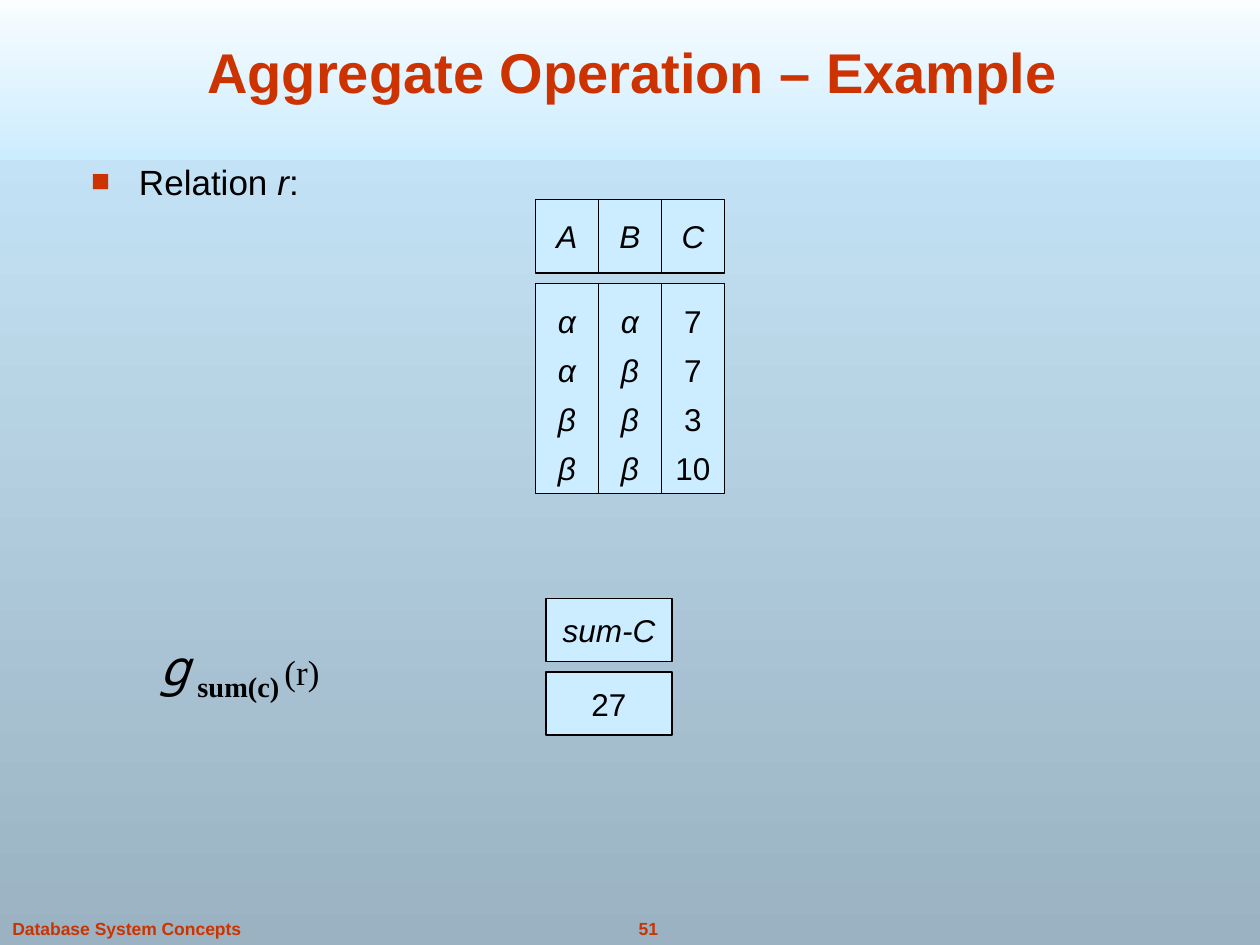
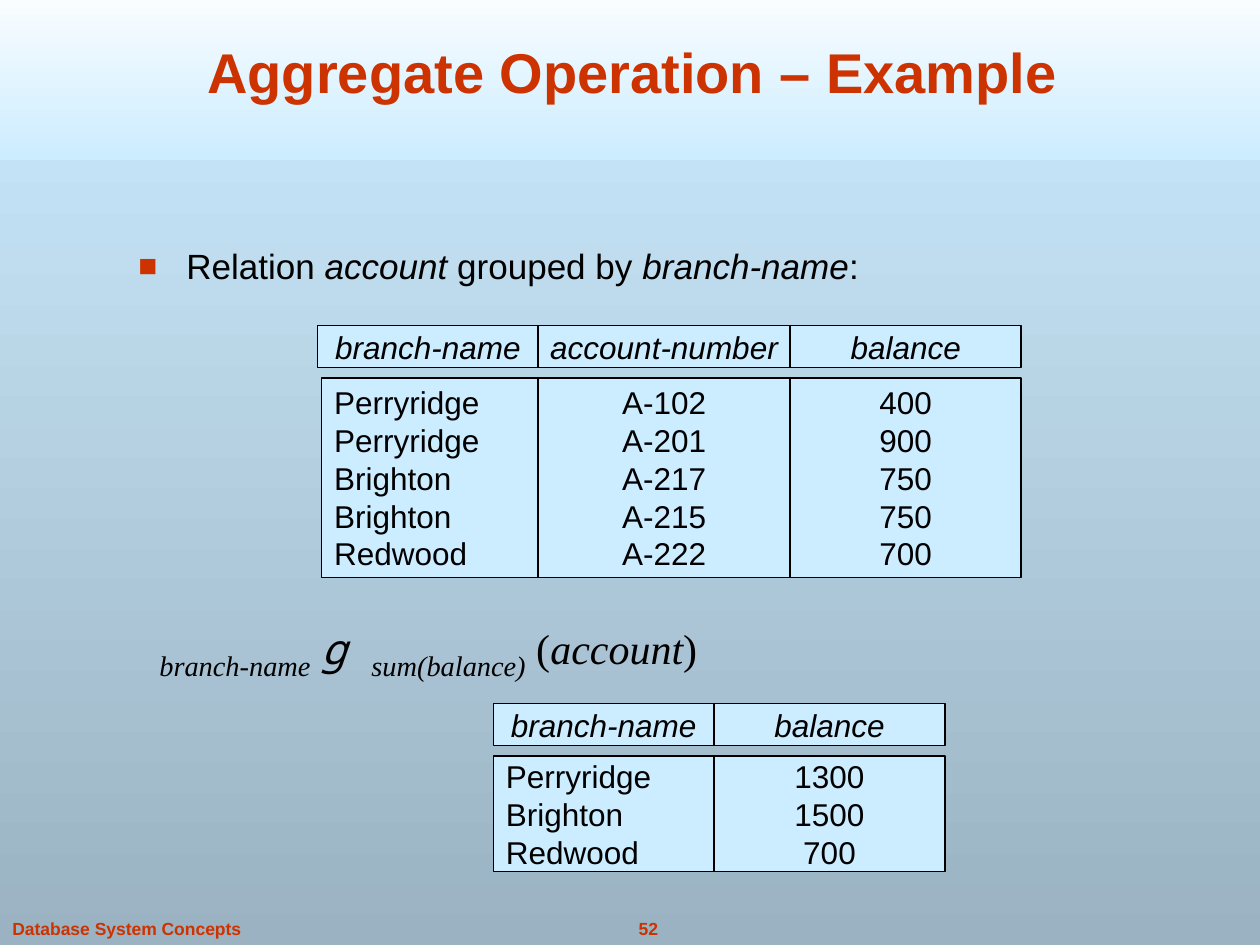
from lxml import etree
from pptx import Presentation, util as u
from pptx.dml.color import RGBColor
from pptx.enum import shapes, text
from pptx.oxml.ns import qn

CELL = u.Inches(1) // 12  # the slide is 120 columns by 90 rows
COLUMNS, ROWS = 120, 90

RED, BLACK, WHITE = "CC3300", "000000", "FFFFFF"
PALE, STEEL = "CCECFF", "9AB2C1"
SANS, SERIF, SCRIPT = "Arial", "Times New Roman", "Noto Sans Mono"
LEFT, CENTER = text.PP_ALIGN.LEFT, text.PP_ALIGN.CENTER
TOP, MIDDLE, BOTTOM = (text.MSO_ANCHOR.TOP, text.MSO_ANCHOR.MIDDLE,
                       text.MSO_ANCHOR.BOTTOM)

TITLE_STYLE = dict(size=32, color_hex=RED, bold=True)
FOOTER_STYLE = dict(size=10, color_hex=RED, bold=True)
BODY = dict(size=20)
BODY_ITALIC = dict(size=20, italic=True)


def color(value):
    return RGBColor.from_string(value)


def grid(*lengths):
    return [round(length * CELL) for length in lengths]


def fade(fill, start, end):
    """Fill from start at the top to end at the bottom."""
    fill.gradient()
    fill.gradient_angle = 270
    for stop, value in zip(fill.gradient_stops, (start, end)):
        stop.color.rgb = color(value)


def style(span, size=18, font=SANS, color_hex=BLACK, bold=False, italic=False,
          baseline=0):
    span.font.size = u.Pt(size)
    span.font.name = font
    span.font.color.rgb = color(color_hex)
    span.font.bold = bold
    span.font.italic = italic
    if baseline:
        span.font._element.set("baseline", str(baseline * 1000))


def write(shape, lines, align=LEFT, anchor=TOP, wrap=True, spacing=None):
    """Write lines, each a list of (words, style) pairs."""
    frame = shape.text_frame
    frame.word_wrap = wrap
    frame.vertical_anchor = anchor
    for number, line in enumerate(lines):
        para = frame.add_paragraph() if number else frame.paragraphs[0]
        para.alignment = align
        if spacing:
            para.line_spacing = spacing
        for words, look in line:
            span = para.add_run()
            span.text = words
            style(span, **look)


def add_text(page, place, spans, **layout):
    box = page.shapes.add_textbox(*grid(*place))
    write(box, [spans], **layout)
    return box


def add_bullet(page, place, spans):
    box = add_text(page, place, spans)
    props = box.text_frame.paragraphs[0]._p.get_or_add_pPr()
    indent = u.Inches(0.38)
    props.set("marL", str(indent))
    props.set("indent", str(-indent))
    bullet_color = etree.SubElement(props, qn("a:buClr"))
    etree.SubElement(bullet_color, qn("a:srgbClr"), val=RED)
    etree.SubElement(props, qn("a:buSzPct"), val="90000")
    etree.SubElement(props, qn("a:buFont"), typeface=SANS)
    etree.SubElement(props, qn("a:buChar"), char="■")


def add_footer(page, left, width, words, align=LEFT):
    """Place one footer line that grows instead of wrapping."""
    box = add_text(page, (left, ROWS - 3.2, width, 3.2), [(words, FOOTER_STYLE)],
                   align=align, wrap=False)
    box.text_frame.auto_size = text.MSO_AUTO_SIZE.SHAPE_TO_FIT_TEXT


def add_cell(page, place, lines, **layout):
    cell = page.shapes.add_shape(shapes.MSO_SHAPE.RECTANGLE, *grid(*place))
    cell.shadow.inherit = False
    cell.fill.solid()
    cell.fill.fore_color.rgb = color(PALE)
    cell.line.color.rgb = color(BLACK)
    cell.line.width = u.Pt(0.75)
    write(cell, lines, anchor=MIDDLE, wrap=False, **layout)


def add_relation(page, left, top, head_rows, body_rows, columns, spacing=None,
                 body_inset=0):
    """Draw header cells, a one-row gap, and one tall cell per column.

    Each column is (width, header, values, alignment, italic values).
    """
    inset = body_inset
    for width, header, values, align, italic in columns:
        add_cell(page, (left, top, width, head_rows),
                 [[(header, dict(italic=True))]], align=CENTER)
        add_cell(page, (left + inset, top + head_rows + 1, width - inset, body_rows),
                 [[(value, dict(italic=italic))] for value in values],
                 align=align, spacing=spacing)
        left += width
        inset = 0


def add_page(deck, title, number):
    """Add a slide with the shared background, band, title and footer."""
    page = deck.slides.add_slide(deck.slide_layouts[6])
    fade(page.background.fill, PALE, STEEL)
    band = page.shapes.add_shape(shapes.MSO_SHAPE.RECTANGLE,
                                 *grid(0, -2, COLUMNS, 17.25))
    band.shadow.inherit = False
    band.line.fill.background()
    fade(band.fill, WHITE, PALE)
    add_footer(page, 56.5, 10.5, str(number), CENTER)
    add_footer(page, 0, 24.5, "Database System Concepts")
    add_text(page, (7.25, 2.6, 106, 8), [(title, TITLE_STYLE)],
             align=CENTER, anchor=BOTTOM)
    return page


def build_sum_page(deck, title, number):
    page = add_page(deck, title, number)
    add_bullet(page, (7.5, 14.65, 24, 7.5),
               [("Relation ", BODY), ("r", BODY_ITALIC), (":", BODY)])
    add_relation(page, 51, 19, 7, 20, [
        (6, "A", "ααββ", CENTER, True),
        (6, "B", "αβββ", CENTER, True),
        (6, "C", ["7", "7", "3", "10"], CENTER, False),
    ], spacing=1.3)
    gap = dict(size=20, font=SERIF, bold=True)
    add_text(page, (14, 60, 21.25, 7.3), [
        ("g", dict(size=28, font=SCRIPT, italic=True)),
        (" ", gap),
        ("sum(c)", dict(size=28, font=SERIF, bold=True, baseline=-25)),
        (" ", dict(gap, baseline=-25)),
        ("(r)", dict(size=20, font=SERIF)),
    ])
    add_relation(page, 52, 57, 6, 6, [(12, "sum-C", ["27"], CENTER, False)])


def build_grouped_page(deck, title, number):
    page = add_page(deck, title, number)
    add_bullet(page, (12, 22.7, 92, 5.4), [
        ("Relation ", BODY), ("account", BODY_ITALIC), (" grouped by ", BODY),
        ("branch-name", BODY_ITALIC), (":", BODY),
    ])
    subscript = dict(size=28, font=SERIF, italic=True, baseline=-25)
    plain = dict(size=24, font=SERIF)
    add_text(page, (14, 58, 92, 5.4), [
        ("branch-name", subscript),
        (" ", plain),
        ("g ", dict(size=24, font=SCRIPT, italic=True)),
        ("sum(balance)", subscript),
        (" (", plain),
        ("account", dict(plain, italic=True)),
        (")", plain),
    ])
    add_relation(page, 30.25, 31, 4, 19, [
        (21, "branch-name",
         ["Perryridge", "Perryridge", "Brighton", "Brighton", "Redwood"], LEFT, False),
        (24, "account-number",
         ["A-102", "A-201", "A-217", "A-215", "A-222"], CENTER, False),
        (22, "balance", ["400", "900", "750", "750", "700"], CENTER, False),
    ], body_inset=0.4)
    add_relation(page, 47, 67, 4, 11, [
        (21, "branch-name", ["Perryridge", "Brighton", "Redwood"], LEFT, False),
        (22, "balance", ["1300", "1500", "700"], CENTER, False),
    ])


def main():
    deck = Presentation()
    deck.slide_width, deck.slide_height = grid(COLUMNS, ROWS)
    title = "Aggregate Operation – Example"
    for number, build in enumerate((build_sum_page, build_grouped_page), start=51):
        build(deck, title, number)
    deck.save("out.pptx")


if __name__ == "__main__":
    main()
